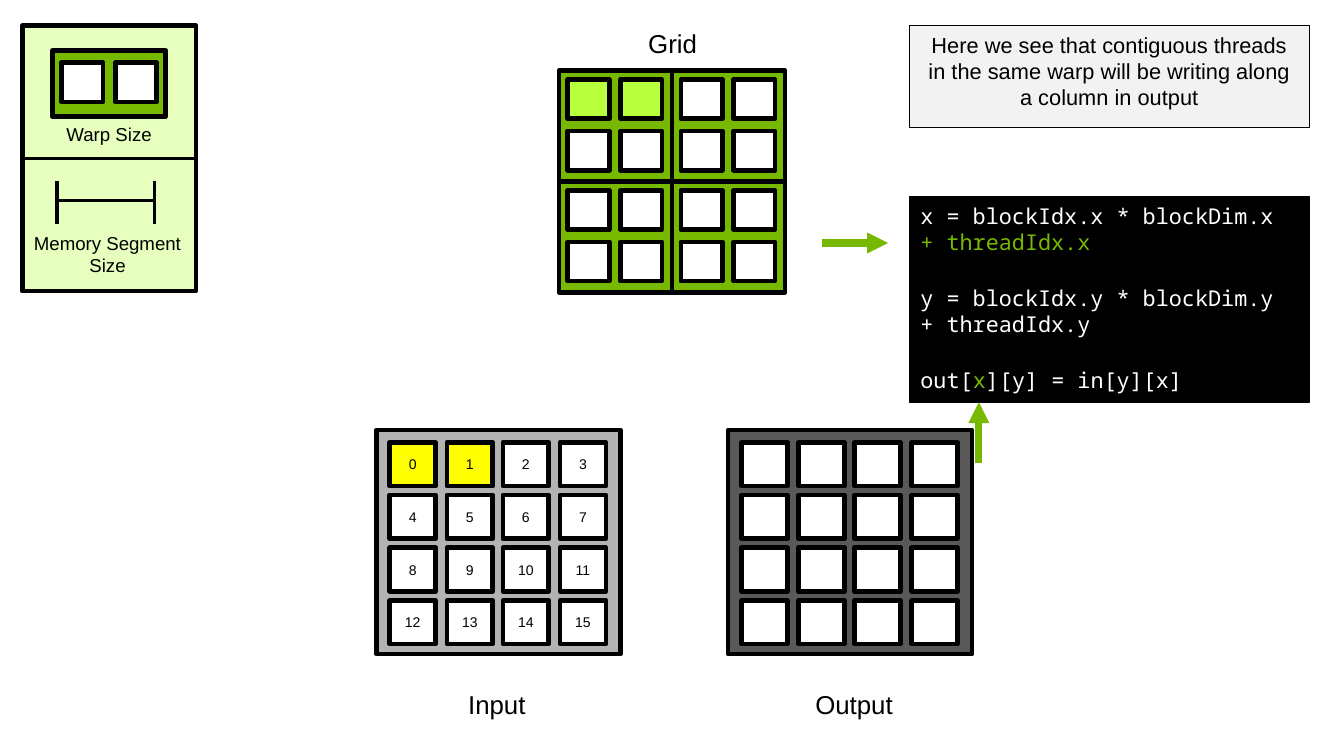
from dataclasses import dataclass

from lxml import etree
from pptx import Presentation
from pptx.dml.color import RGBColor
from pptx.enum.shapes import MSO_CONNECTOR, MSO_SHAPE
from pptx.enum.text import MSO_ANCHOR, PP_ALIGN
from pptx.oxml.ns import qn
from pptx.util import Inches, Pt

RECT = MSO_SHAPE.RECTANGLE
STRAIGHT = MSO_CONNECTOR.STRAIGHT
TOP, MIDDLE = MSO_ANCHOR.TOP, MSO_ANCHOR.MIDDLE
LEFT, CENTER = PP_ALIGN.LEFT, PP_ALIGN.CENTER

BLACK = RGBColor(0x00, 0x00, 0x00)
WHITE = RGBColor(0xFF, 0xFF, 0xFF)
GREEN = RGBColor(0x76, 0xB9, 0x00)
LIME = RGBColor(0xB8, 0xFF, 0x3C)
PALE = RGBColor(0xE7, 0xFF, 0xBE)
YELLOW = RGBColor(0xFF, 0xFF, 0x00)
SILVER = RGBColor(0xB3, 0xB3, 0xB3)
GRAY = RGBColor(0x59, 0x59, 0x59)
SMOKE = RGBColor(0xF2, 0xF2, 0xF2)

SANS, MONO = "Arial", "Noto Sans Mono"
ACTIVE = 2  # threads of the first warp
BLOCK = (1.01, 0.99)
THREAD = (0.37, 0.35)
COLS = (0.12, 0.63, 1.13, 1.64)  # cell columns within a matrix


@dataclass
class Label:
    text: str
    left: float
    top: float
    width: float
    height: float
    size: float


@dataclass
class Matrix:
    left: float
    fill: RGBColor
    marked: int
    numbered: bool


@dataclass
class Stroke:
    start: tuple[float, float]
    end: tuple[float, float]
    color: RGBColor
    width: float
    arrow: bool = False


LABELS = [
    Label("Grid", 5.65, 0.2, 0.71, 0.38, 16.6),
    Label("Input", 4.04, 6.1, 0.79, 0.38, 16.6),
    Label("Output", 7.15, 6.1, 0.95, 0.38, 16.6),
    Label("Warp Size", 0.47, 1.05, 1.01, 0.3, 12),
    Label("Memory Segment Size", 0.2, 2.02, 1.52, 0.5, 12),
]
MATRICES = [Matrix(6.5, GRAY, 0, False), Matrix(3.36, SILVER, ACTIVE, True)]
SEGMENT = [
    Stroke((0.51, 1.79), (1.38, 1.79), BLACK, 2.25),
    Stroke((0.51, 1.62), (0.51, 2), BLACK, 2.25),
    Stroke((1.38, 1.62), (1.38, 2), BLACK, 2.25),
]
ARROWS = [
    Stroke((7.34, 2.17), (7.93, 2.17), GREEN, 4.5, True),
    Stroke((8.74, 4.13), (8.74, 3.59), GREEN, 4.5, True),
]
CODE = [
    [("x = blockIdx.x * blockDim.x", WHITE), ("\v+ threadIdx.x", GREEN)],
    [("y = blockIdx.y * blockDim.y\v+ threadIdx.y", WHITE)],
    [("out[", WHITE), ("x", GREEN), ("][y] = in[y][x]", WHITE)],
]


def box(slide, left: float, top: float, width: float, height: float,
        fill: RGBColor, line: float = 3):
    shape = slide.shapes.add_shape(
        RECT, Inches(left), Inches(top), Inches(width), Inches(height))
    shape.shadow.inherit = False
    shape.fill.solid()
    shape.fill.fore_color.rgb = fill
    shape.line.color.rgb = BLACK
    shape.line.width = Pt(line)
    return shape


def write(frame, lines: list, size: float, font: str = SANS,
          align=CENTER, anchor=TOP, gap: float = 0) -> None:
    frame.word_wrap = True
    frame.vertical_anchor = anchor
    for i, runs in enumerate(lines):
        para = frame.paragraphs[0] if i == 0 else frame.add_paragraph()
        para.alignment = align
        para.space_before = Pt(gap if i else 0)
        for text, color in runs:
            if text.startswith("\v"):
                para.add_line_break()
                text = text[1:]
            head, *rest = text.split("\v")
            for j, part in enumerate([head, *rest]):
                if j:
                    para.add_line_break()
                run = para.add_run()
                run.text = part
                run.font.color.rgb = color
                for name, value in {"name": font, "size": Pt(size)}.items():
                    setattr(run.font, name, value)


def label(slide, item: Label) -> None:
    text = slide.shapes.add_textbox(
        Inches(item.left), Inches(item.top), Inches(item.width), Inches(item.height))
    write(text.text_frame, [[(item.text, BLACK)]], item.size)


def stroke(slide, item: Stroke):
    ends = [Inches(v) for v in (*item.start, *item.end)]
    line = slide.shapes.add_connector(STRAIGHT, *ends)
    line.line.color.rgb = item.color
    line.line.width = Pt(item.width)
    props = line.element.spPr
    if item.arrow:
        etree.SubElement(props.find(qn("a:ln")), qn("a:tailEnd"), type="triangle")
    etree.SubElement(props, qn("a:effectLst"))
    return line


def block(slide, left: float, top: float, marked: int) -> None:
    box(slide, left, top, *BLOCK, GREEN)
    for i in range(4):
        row, col = divmod(i, 2)
        box(slide, left + 0.08 + 0.47 * col, top + 0.08 + 0.46 * row, *THREAD,
            LIME if i < marked else WHITE)


def matrix(slide, item: Matrix) -> None:
    top = 3.84
    box(slide, item.left, top, 2.18, 2, item.fill)
    for i in range(16):
        row, col = divmod(i, 4)
        cell = box(slide, item.left + COLS[col], top + 0.11 + 0.47 * row,
                   0.41, 0.39, YELLOW if i < item.marked else WHITE)
        if item.numbered:
            frame = cell.text_frame
            for side in ("left", "right", "top", "bottom"):
                setattr(frame, f"margin_{side}", 0)
            write(frame, [[(str(i), BLACK)]], 9, anchor=MIDDLE)


def main() -> None:
    deck = Presentation()
    deck.slide_width, deck.slide_height = Inches(12), Inches(6.75)
    slide = deck.slides.add_slide(deck.slide_layouts[6])

    # Legend
    panel = box(slide, 0.2, 0.23, 1.55, 2.37, PALE)
    rule = stroke(slide, Stroke((0.2, 1.42), (1.75, 1.42), BLACK, 1.5))
    rule.begin_connect(panel, 1)
    rule.end_connect(panel, 3)
    box(slide, 0.47, 0.45, 1.01, 0.59, GREEN)
    for i in range(ACTIVE):
        box(slide, 0.55 + 0.48 * i, 0.56, *THREAD, WHITE)

    # Thread grid
    for i in range(4):
        row, col = divmod(i, 2)
        block(slide, 4.99 + BLOCK[0] * col, 0.63 + BLOCK[1] * row,
              0 if i else ACTIVE)

    # Input and output
    for item in MATRICES:
        matrix(slide, item)

    # Remark and code
    note = box(slide, 8.12, 0.23, 3.57, 0.91, SMOKE, 0.75)
    write(note.text_frame, [[("Here we see that contiguous threads in the same "
                              "warp will be writing along a column in output",
                              BLACK)]], 14)
    code = box(slide, 8.12, 1.76, 3.57, 1.83, BLACK, 0.75)
    write(code.text_frame, CODE, 14, MONO, LEFT, gap=19)

    # Labels and lines
    for item in LABELS:
        label(slide, item)
    for item in SEGMENT + ARROWS:
        stroke(slide, item)

    deck.save("out.pptx")


if __name__ == "__main__":
    main()
